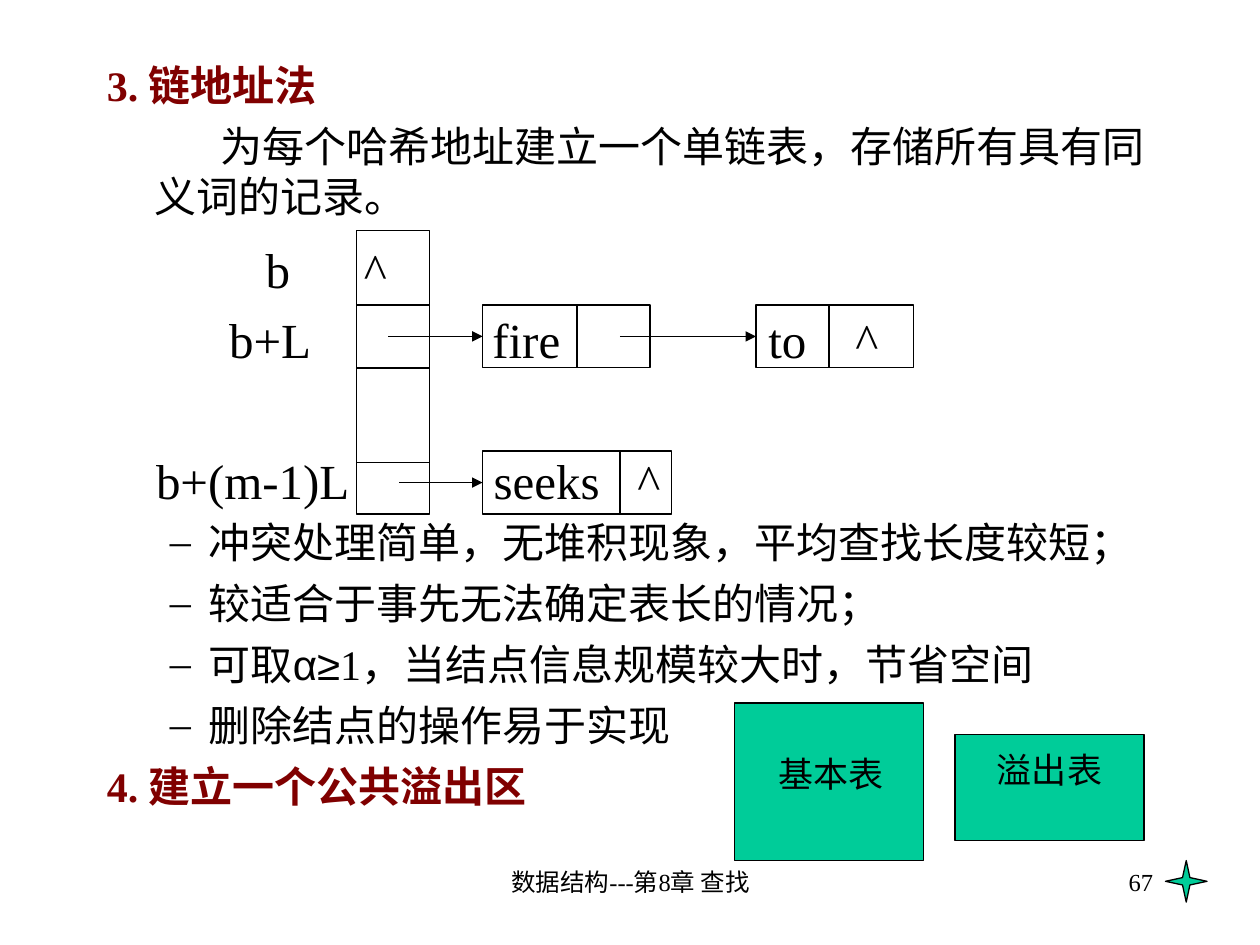
"""Build the slide on chained hashing and the common overflow area."""
from dataclasses import dataclass

from lxml import etree
from pptx import Presentation
from pptx.dml.color import RGBColor
from pptx.enum.shapes import MSO_CONNECTOR, MSO_SHAPE
from pptx.enum.text import PP_ALIGN
from pptx.oxml.ns import qn
from pptx.util import Inches, Pt

STRAIGHT = MSO_CONNECTOR.STRAIGHT
RECTANGLE = MSO_SHAPE.RECTANGLE
STAR = MSO_SHAPE.STAR_4_POINT
LEFT, CENTER, RIGHT = PP_ALIGN.LEFT, PP_ALIGN.CENTER, PP_ALIGN.RIGHT
LEFT_SIDE = 1

COLORS = {"text": "000000", "heading": "800000", "fill": "00CC99"}
SERIF, SANS = "Times New Roman", "Arial"


@dataclass
class Line:
    runs: tuple[str, ...]
    size: int = 24
    color: str = "text"
    bold: bool = False
    margin: float = 0.38
    indent: float = -0.38
    before: float = 6
    bullet: str = ""
    align: PP_ALIGN = LEFT


@dataclass
class Label:
    text: str
    left: float
    row: int
    width: float


@dataclass
class Node:
    left: float
    top: float
    width: float
    divider: float
    arrow_start: float
    height: float = 0.5


def heading(text: str) -> Line:
    return Line((text,), color="heading", bold=True)


def bullet(*runs: str) -> Line:
    return Line(runs, margin=0.81, indent=-0.31, bullet="–")


def plain(text: str, size: int, align: PP_ALIGN = LEFT) -> Line:
    return Line((text,), size, margin=0, indent=0, before=0, align=align)


METHOD = [
    heading("3. 链地址法"),
    Line(("为每个哈希地址建立一个单链表，存储所有具有同义词的记录。",), indent=0.52),
]
PROPERTIES = [
    bullet("冲突处理简单，无堆积现象，平均查找长度较短；"),
    bullet("较适合于事先无法确定表长的情况；"),
    bullet("可取", "α≥", "1，当结点信息规模较大时，节省空间"),
    bullet("删除结点的操作易于实现"),
    heading("4. 建立一个公共溢出区"),
]
FIRST_ROW_TOP, ROW_PITCH = 1.85, 0.56
LABELS = [
    Label("b", 2.01, 0, 0.6),
    Label("^", 2.79, 0, 0.5),
    Label("b+L", 1.72, 1, 1),
    Label("fire", 3.81, 1, 0.9),
    Label("to", 6, 1, 0.6),
    Label("^", 6.69, 1, 0.5),
    Label("b+(m-1)L", 1.14, 3, 1.9),
    Label("seeks", 3.82, 3, 1.15),
    Label("^", 4.96, 3, 0.5),
]
BUCKETS_LEFT, BUCKETS_WIDTH = 2.83, 0.58
BUCKET_DIVIDERS = (2.42, 2.92, 3.67)
NODES = [
    Node(3.83, 2.42, 1.33, 4.58, 3.08),
    Node(6, 2.42, 1.25, 6.58, 4.92),
    Node(3.83, 3.58, 1.5, 4.92, 3.17),
]


def color(name: str) -> RGBColor:
    return RGBColor.from_string(COLORS[name])


def write_line(paragraph, line: Line) -> None:
    paragraph.alignment = line.align
    paragraph.space_before = Pt(line.before)
    properties = paragraph._p.get_or_add_pPr()
    properties.set("marL", str(Inches(line.margin)))
    properties.set("indent", str(Inches(line.indent)))
    if line.bullet:
        etree.SubElement(properties, qn("a:buFont"), typeface=SERIF)
        etree.SubElement(properties, qn("a:buChar"), char=line.bullet)
    else:
        etree.SubElement(properties, qn("a:buNone"))
    font = paragraph.font
    font.size, font.bold = Pt(line.size), line.bold
    font.color.rgb = color(line.color)
    if len(line.runs) == 1:
        font.name = SERIF
    for text in line.runs:
        run = paragraph.add_run()
        run.text = text
        if len(line.runs) > 1:
            run.font.name = SANS if text == "α≥" else SERIF


def add_text(slide, left: float, top: float, width: float, height: float, lines: list[Line]) -> None:
    box = slide.shapes.add_textbox(Inches(left), Inches(top), Inches(width), Inches(height))
    frame = box.text_frame
    frame.word_wrap = True
    for index, line in enumerate(lines):
        write_line(frame.add_paragraph() if index else frame.paragraphs[0], line)


def add_label(slide, label: Label) -> None:
    top = FIRST_ROW_TOP + label.row * ROW_PITCH
    add_text(slide, label.left, top, label.width, 0.55, [plain(label.text, 28)])


def add_box(slide, left: float, top: float, width: float, height: float,
            fill: str = "", kind: MSO_SHAPE = RECTANGLE):
    shape = slide.shapes.add_shape(kind, Inches(left), Inches(top), Inches(width), Inches(height))
    shape.shadow.inherit = False
    if fill:
        shape.fill.solid()
        shape.fill.fore_color.rgb = color(fill)
    else:
        shape.fill.background()
    shape.line.color.rgb = color("text")
    shape.line.width = Pt(0.75)
    return shape


def add_line(slide, start: tuple[float, float], end: tuple[float, float]):
    connector = slide.shapes.add_connector(
        STRAIGHT, Inches(start[0]), Inches(start[1]), Inches(end[0]), Inches(end[1]))
    connector.line.color.rgb = color("text")
    connector.line.width = Pt(0.75)
    etree.SubElement(connector._element.spPr, qn("a:effectLst"))
    return connector


def add_node(slide, node: Node) -> None:
    shape = add_box(slide, node.left, node.top, node.width, node.height)
    add_line(slide, (node.divider, node.top), (node.divider, node.top + node.height))
    middle = node.top + node.height / 2
    arrow = add_line(slide, (node.arrow_start, middle), (node.left, middle))
    arrow.end_connect(shape, LEFT_SIDE)
    etree.SubElement(arrow.line._get_or_add_ln(), qn("a:tailEnd"), type="triangle")


def main() -> None:
    presentation = Presentation()
    presentation.slide_width, presentation.slide_height = Inches(10), Inches(7.5)
    slide = presentation.slides.add_slide(presentation.slide_layouts[6])

    add_text(slide, 3.42, 6.83, 3.17, 0.5, [plain("数据结构---第8章 查找", 14, CENTER)])
    add_text(slide, 7.17, 6.83, 2.08, 0.5, [plain("67", 14, RIGHT)])
    add_text(slide, 0.75, 0.42, 8.5, 1.4, METHOD)
    add_text(slide, 0.75, 4.05, 8.5, 2.62, PROPERTIES)

    add_box(slide, BUCKETS_LEFT, 1.83, BUCKETS_WIDTH, 2.25)
    for top in BUCKET_DIVIDERS:
        add_line(slide, (BUCKETS_LEFT, top), (BUCKETS_LEFT + BUCKETS_WIDTH, top))
    for node in NODES:
        add_node(slide, node)
    for label in LABELS:
        add_label(slide, label)

    add_box(slide, 5.83, 5.58, 1.5, 1.25, "fill")
    add_text(slide, 6.08, 5.92, 1.08, 0.44, [plain("基本表", 20)])
    overflow = add_box(slide, 7.58, 5.83, 1.5, 0.84, "fill")
    frame = overflow.text_frame
    frame.margin_top, frame.margin_bottom = Inches(0.06), Inches(0.34)
    write_line(frame.paragraphs[0], plain("溢出表", 20, CENTER))

    star = add_box(slide, 9.25, 6.83, 0.33, 0.33, "fill", STAR)
    star.adjustments[0] = 0.125
    presentation.save("out.pptx")


if __name__ == "__main__":
    main()
